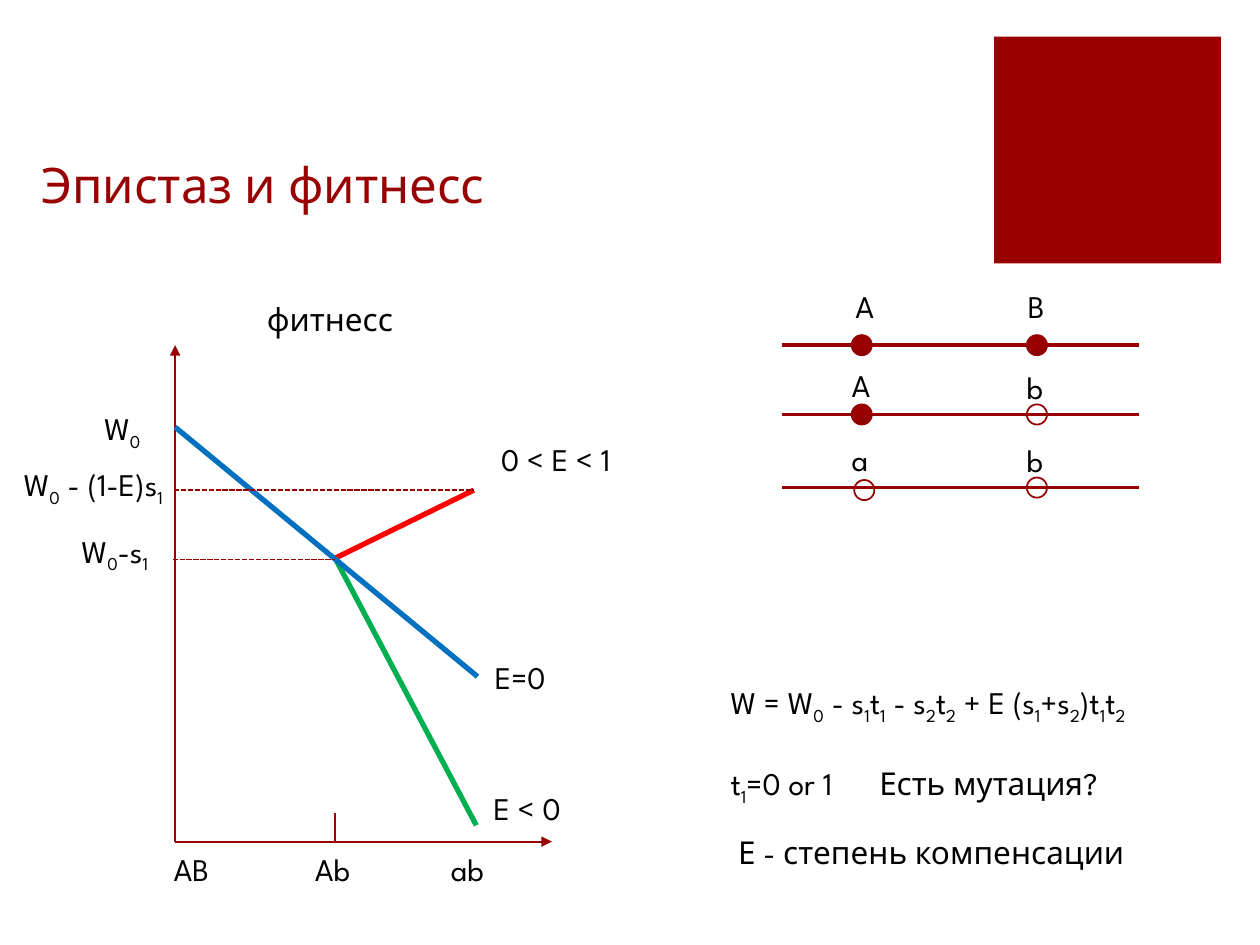
from lxml import etree
from pptx import Presentation
from pptx.dml.color import RGBColor
from pptx.enum.dml import MSO_LINE
from pptx.enum.shapes import MSO_CONNECTOR, MSO_SHAPE
from pptx.enum.text import MSO_ANCHOR, MSO_AUTO_SIZE, PP_ALIGN
from pptx.oxml.ns import qn
from pptx.util import Inches, Pt

STRAIGHT = MSO_CONNECTOR.STRAIGHT
RECT, OVAL = MSO_SHAPE.RECTANGLE, MSO_SHAPE.OVAL
DASH = MSO_LINE.SQUARE_DOT
FIT = MSO_AUTO_SIZE.SHAPE_TO_FIT_TEXT
FONT = "League Spartan"
RED = "990000"
rgb = RGBColor.from_string

prs = Presentation()
prs.slide_width, prs.slide_height = Inches(10), Inches(7.5)
s = prs.slides.add_slide(prs.slide_layouts[5])


def add_line(x1, y1, x2, y2, color=RED, width=1, arrow=False, dash=None):
    ln = s.shapes.add_connector(STRAIGHT, *map(Inches, (x1, y1, x2, y2)))
    ln.line.color.rgb = rgb(color)
    ln.line.width = Pt(width)
    if dash:
        ln.line.dash_style = dash
    if arrow:
        etree.SubElement(ln.line._get_or_add_ln(), qn("a:tailEnd"), type="triangle")
    etree.SubElement(ln._element.spPr, qn("a:effectLst"))


def add_text(x, y, w, *lines, h=0.4, wrap=False):
    """Add a text box; the character after each underscore is a subscript."""
    tf = s.shapes.add_textbox(*map(Inches, (x, y, w, h))).text_frame
    tf.word_wrap, tf.auto_size = wrap, FIT
    for i, line in enumerate(lines):
        p = tf.add_paragraph() if i else tf.paragraphs[0]
        if i:
            p.space_before = Pt(22)
        if "\t" in line:
            tabs = etree.SubElement(p._p.get_or_add_pPr(), qn("a:tabLst"))
            etree.SubElement(tabs, qn("a:tab"), pos=str(Inches(1.18)), algn="l")
        first, *rest = line.split("_")
        parts = [(first, False)]
        for part in rest:
            parts += [(part[0], True), (part[1:], False)]
        for text, is_sub in parts:
            if text:
                r = p.add_run()
                r.text = text
                for name, value in {"name": FONT, "size": Pt(18)}.items():
                    setattr(r.font, name, value)
                r.font.color.rgb = rgb("000000")
                if is_sub:
                    r.font._element.set("baseline", "-25000")


# Title and corner square
square = s.shapes.add_shape(RECT, Inches(7.89), Inches(0.29), Inches(1.8), Inches(1.8))
square.shadow.inherit = False
square.fill.solid()
square.fill.fore_color.rgb = rgb(RED)
square.line.fill.background()

title = s.shapes.title
box = {"left": 0.13, "top": 0.49, "width": 7.51, "height": 1.25}
for name, value in box.items():
    setattr(title, name, Inches(value))
tf = title.text_frame
tf.text = "Эпистаз и фитнесс"
tf.vertical_anchor = MSO_ANCHOR.BOTTOM
tf.margin_left = Inches(0.2)
p = tf.paragraphs[0]
p.alignment = PP_ALIGN.LEFT
for name, value in {"name": FONT, "size": Pt(28)}.items():
    setattr(p.font, name, value)
p.font.color.rgb = rgb(RED)

# Fitness graph: axes, tick, levels and the three outcomes
x0, y0 = 1.39, 6.68
x_ab, y_ab = 2.66, 4.43
add_line(x0, y0, x0, 2.74, arrow=True)
add_line(x0, y0, 4.38, y0, arrow=True)
add_line(x_ab, 6.45, x_ab, y0)
add_line(x_ab, y_ab, 3.76, 3.89, "FF0000", 3)
add_line(x_ab, y_ab, 3.78, 6.55, "00B050", 3)
add_line(x0, 3.39, 3.79, 5.37, "0070C0", 3)
add_line(1.37, 4.44, x_ab, 4.44, dash=DASH)
add_line(1.38, 3.89, 3.76, 3.89, dash=DASH)

for x, y, w, text in [
    (2.02, 2.33, 1.44, "фитнесс"),
    (1.28, 6.7, 0.54, "AB"),
    (3.83, 5.17, 0.63, "E=0"),
    (3.88, 3.44, 1.2, "0 < E < 1"),
    (3.82, 6.21, 0.78, "E < 0"),
    (0.73, 3.2, 0.68, "W_0"),
    (0.55, 4.17, 0.81, "W_0-s_1"),
    (0.09, 3.64, 1.52, "W_0 - (1-E)s_1"),
]:
    add_text(x, y, w, text)
for x, text in [(2.4, "Ab"), (3.48, "ab")]:
    add_text(x, 6.7, 1.22, text, wrap=True)

# Genotypes: a filled circle is the original allele, an open one the mutant
for y, loci in [
    (2.74, [("A", 6.69, 2.23, 6.84, 2.74), ("B", 8.06, 2.23, 8.23, 2.74)]),
    (3.29, [("A", 6.66, 2.86, 6.84, 3.29), ("b", 8.05, 2.87, 8.23, 3.29)]),
    (3.87, [("a", 6.66, 3.44, 6.86, 3.89), ("b", 8.05, 3.45, 8.23, 3.87)]),
]:
    add_line(6.21, y, 9.04, y, width=2)
    for allele, x_text, y_text, cx, cy in loci:
        sp = s.shapes.add_shape(OVAL, Inches(cx - 0.08), Inches(cy - 0.08),
                                Inches(0.16), Inches(0.16))
        sp.shadow.inherit = False
        sp.line.color.rgb = rgb("960000")
        sp.line.width = Pt(1)
        if allele.isupper():
            sp.fill.gradient()
            sp.fill.gradient_angle = 90
            for stop, color, position in zip(sp.fill.gradient_stops, ("830000", RED), (0, 0.35)):
                stop.color.rgb = rgb(color)
                stop.position = position
        else:
            sp.fill.background()
        add_text(x_text, y_text, 0.45, allele)

# Formula
add_text(5.7, 5.37, 3.88, "W = W_0 - s_1t_1 - s_2t_2 + E (s_1+s_2)t_1t_2",
         "t_1=0 or 1\tЕсть мутация?", h=1.01)
add_text(5.76, 6.56, 3.5, "Е - степень компенсации")

prs.save("out.pptx")
